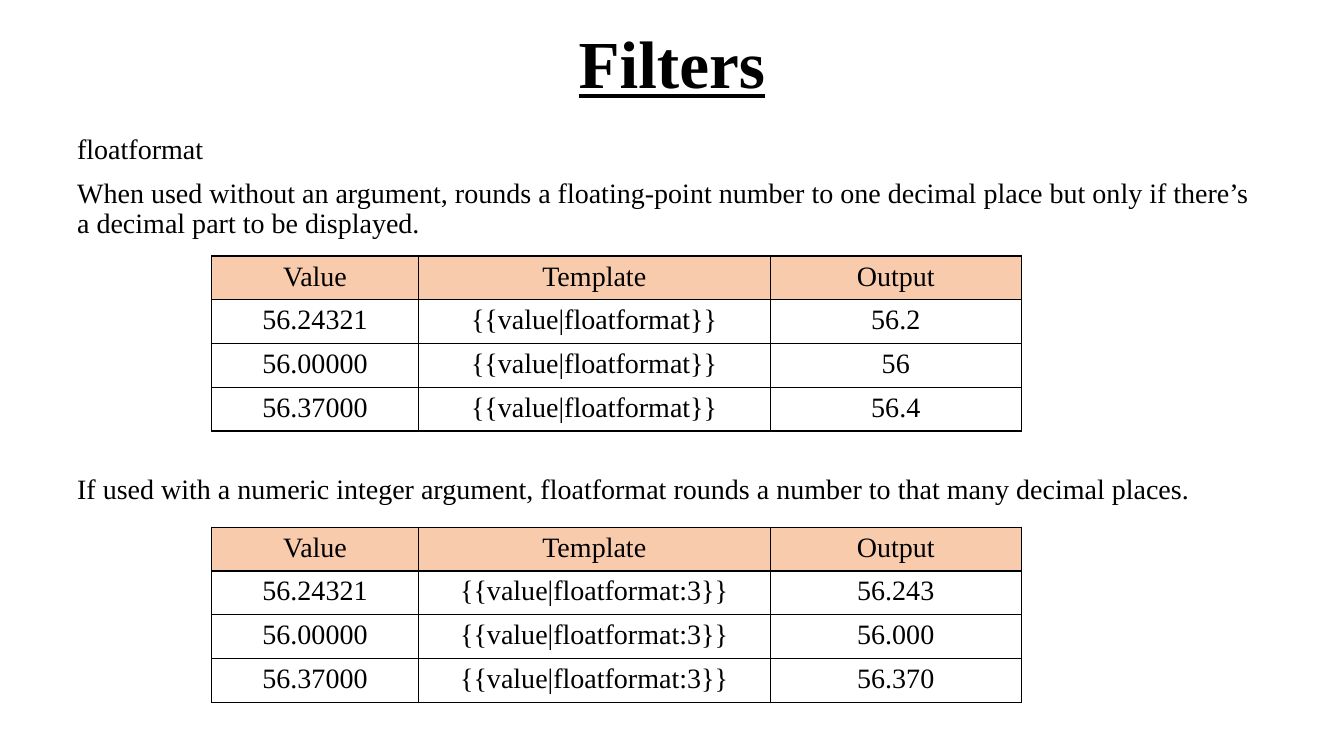
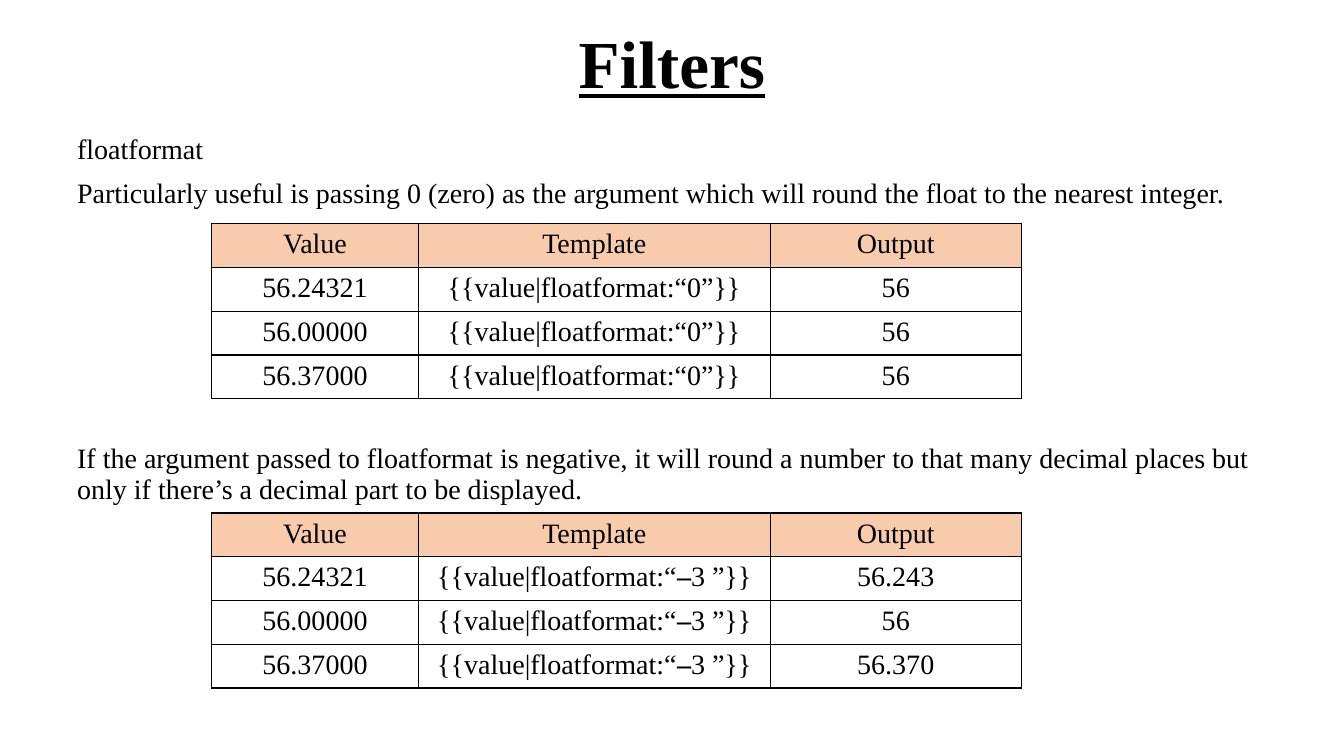
from dataclasses import dataclass

from lxml.etree import SubElement
from pptx import Presentation
from pptx.dml.color import RGBColor
from pptx.enum.text import MSO_ANCHOR, PP_ALIGN
from pptx.oxml.ns import qn
from pptx.util import Emu, Inches, Pt

WIDTH, HEIGHT = Inches(13.33), Inches(7.5)
INK, HEADER_FILL = "000000", "F8CBAD"
BODY_FONT = {"name": "Times New Roman", "size": Pt(20), "bold": False}
STRONG_FONT = BODY_FONT | {"bold": True}
TITLE_FONT = STRONG_FONT | {"size": Pt(48), "underline": True}
BODY_PARAGRAPH = {"line_spacing": 0.9, "space_before": Pt(10)}
SECOND_TOPIC = BODY_PARAGRAPH | {"space_before": Pt(168)}
CENTRED = {"alignment": PP_ALIGN.CENTER}

# Shares of the slide, in percent
MARGIN, TEXT_WIDTH = 5, 90
TITLE_TOP, TITLE_HEIGHT = 0.53, 16.67
BODY_TOP, BODY_HEIGHT = 17.2, 78.67
TABLE_LEFT, COLUMNS, ROW = 15.75, (15.38, 26.18, 18.68), 5.47

HEADINGS = ("Value", "Template", "Output")
VALUES = ("56.24321", "56.00000", "56.37000")


@dataclass
class Example:
    """A rule of the filter with the table that shows its effect."""
    rule: str
    top: float
    template: str
    outputs: tuple[str, str, str]


SLIDES = [
    (
        Example("When used without an argument, rounds a floating-point number to one "
                "decimal place but only if there’s a decimal part to be displayed.",
                33.87, "{{value|floatformat}}", ("56.2", "56", "56.4")),
        Example("If used with a numeric integer argument, floatformat rounds a number "
                "to that many decimal places. ",
                69.73, "{{value|floatformat:3}}", ("56.243", "56.000", "56.370")),
    ),
    (
        Example("Particularly useful is passing 0 (zero) as the argument which will "
                "round the float to the nearest integer.",
                29.6, "{{value|floatformat:“0”}}", ("56", "56", "56")),
        Example("If the argument passed to floatformat is negative, it will round a "
                "number to that many decimal places but only if there’s a decimal "
                "part to be displayed.",
                67.87, "{{value|floatformat:“–3 ”}}", ("56.243", "56", "56.370")),
    ),
]


def color(value: str) -> RGBColor:
    """Turn a hex string into a colour."""
    return RGBColor.from_string(value)


def across(percent: float) -> Emu:
    """Give a share of the slide's width."""
    return Emu(int(WIDTH * percent / 100))


def down(percent: float) -> Emu:
    """Give a share of the slide's height."""
    return Emu(int(HEIGHT * percent / 100))


def apply(target, values: dict) -> None:
    """Set the attributes of an object from a dict."""
    for name, value in values.items():
        setattr(target, name, value)


def add_run(p, text: str, font: dict) -> None:
    """Add a formatted run to a paragraph."""
    r = p.add_run()
    r.text = text
    apply(r.font, font)
    r.font.color.rgb = color(INK)


def add_title(s, text: str) -> None:
    """Move, fill and format the title placeholder."""
    sp = s.shapes.title
    apply(sp, {"left": across(MARGIN), "top": down(TITLE_TOP),
               "width": across(TEXT_WIDTH), "height": down(TITLE_HEIGHT)})
    tf = sp.text_frame
    tf.vertical_anchor = MSO_ANCHOR.MIDDLE
    p = tf.paragraphs[0]
    apply(p, CENTRED | {"line_spacing": 0.9})
    add_run(p, text, TITLE_FONT)


def add_body(s, paragraphs: list[tuple[str, dict]]) -> None:
    """Add the running text that surrounds the tables."""
    sp = s.shapes.add_textbox(across(MARGIN), down(BODY_TOP),
                              across(TEXT_WIDTH), down(BODY_HEIGHT))
    tf = sp.text_frame
    tf.word_wrap = True
    for i, (text, layout) in enumerate(paragraphs):
        p = tf.add_paragraph() if i else tf.paragraphs[0]
        apply(p, layout)
        add_run(p, text, BODY_FONT)


def add_borders(cell) -> None:
    """Draw a thin line on all four sides of a cell, ahead of its fill."""
    tc_pr = cell._tc.get_or_add_tcPr()
    for i, side in enumerate(("lnL", "lnR", "lnT", "lnB")):
        ln = SubElement(tc_pr, qn(f"a:{side}"), w=str(Pt(1)))
        fill = SubElement(ln, qn("a:solidFill"))
        SubElement(fill, qn("a:srgbClr"), val=INK)
        tc_pr.insert(i, ln)


def fill_cell(cell, text: str, is_header: bool) -> None:
    """Write and format one table cell; a dash in it is bold."""
    if is_header:
        cell.fill.solid()
        cell.fill.fore_color.rgb = color(HEADER_FILL)
    else:
        cell.fill.background()
    add_borders(cell)
    p = cell.text_frame.paragraphs[0]
    apply(p, CENTRED)
    for part, font in zip(text.partition("–"), (BODY_FONT, STRONG_FONT, BODY_FONT)):
        if part:
            add_run(p, part, font)


def add_example_table(s, example: Example) -> None:
    """Add the table of values, templates and outputs."""
    rows = [HEADINGS] + [(value, example.template, output)
                         for value, output in zip(VALUES, example.outputs)]
    table = s.shapes.add_table(len(rows), len(COLUMNS), across(TABLE_LEFT),
                               down(example.top), across(sum(COLUMNS)),
                               down(ROW * len(rows))).table
    table.horz_banding = False
    for column, share in zip(table.columns, COLUMNS):
        column.width = across(share)
    for i, row in enumerate(rows):
        for j, text in enumerate(row):
            fill_cell(table.cell(i, j), text, is_header=i == 0)


def add_filter_slide(prs, first: Example, second: Example) -> None:
    """Add a slide with two examples of the filter."""
    s = prs.slides.add_slide(prs.slide_layouts.get_by_name("Title Only"))
    add_title(s, "Filters")
    add_body(s, [("floatformat", BODY_PARAGRAPH),
                 (first.rule, BODY_PARAGRAPH),
                 (second.rule, SECOND_TOPIC)])
    for example in (first, second):
        add_example_table(s, example)


prs = Presentation()
apply(prs, {"slide_width": WIDTH, "slide_height": HEIGHT})
for examples in SLIDES:
    add_filter_slide(prs, *examples)
prs.save("out.pptx")
